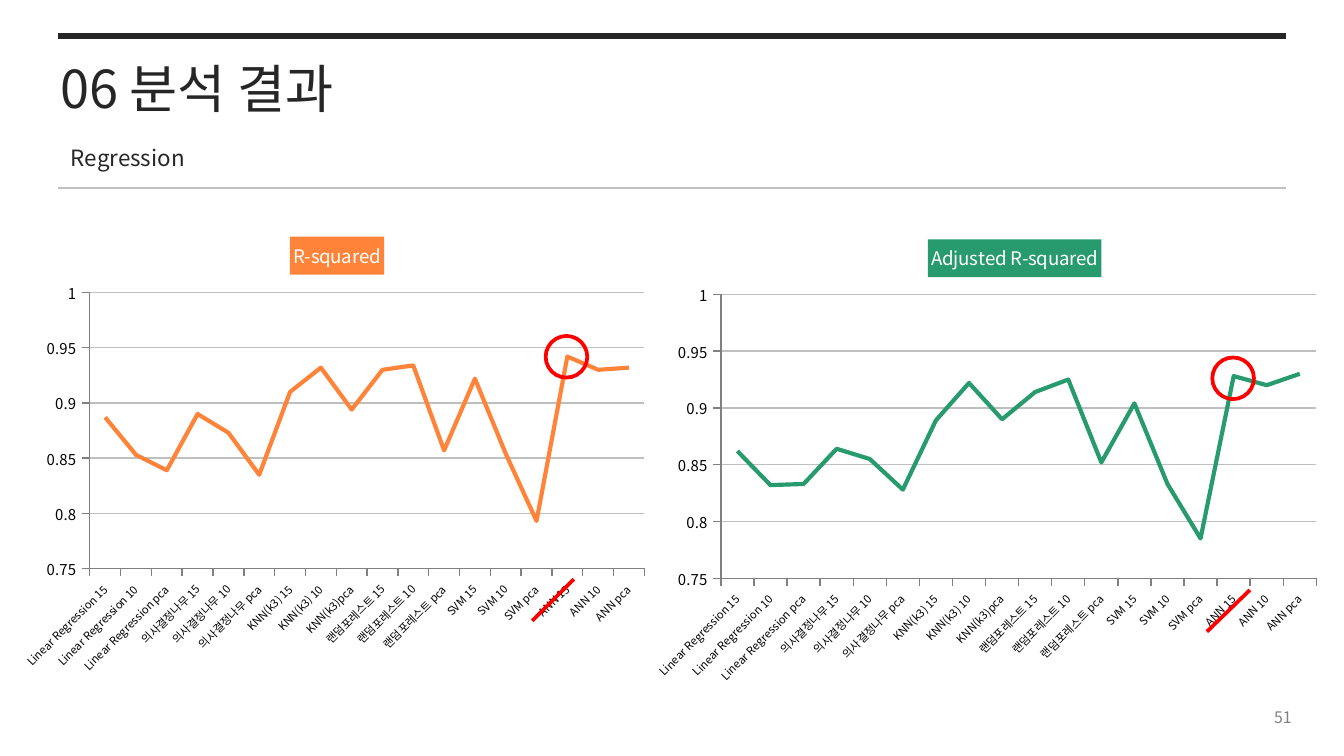
from lxml import etree
from pptx import Presentation
from pptx.chart.data import CategoryChartData
from pptx.dml.color import RGBColor
from pptx.enum.chart import XL_CHART_TYPE, XL_MARKER_STYLE, XL_TICK_MARK
from pptx.enum.shapes import MSO_CONNECTOR, MSO_SHAPE
from pptx.enum.text import MSO_ANCHOR, PP_ALIGN
from pptx.oxml import parse_xml
from pptx.oxml.ns import nsdecls, qn
from pptx.util import Inches, Pt

LINE = XL_CHART_TYPE.LINE
NO_MARKER = XL_MARKER_STYLE.NONE
TICK_OUT = XL_TICK_MARK.OUTSIDE
TICK_NONE = XL_TICK_MARK.NONE
STRAIGHT = MSO_CONNECTOR.STRAIGHT
OVAL = MSO_SHAPE.OVAL
TOP, MIDDLE = MSO_ANCHOR.TOP, MSO_ANCHOR.MIDDLE
LEFT, RIGHT = PP_ALIGN.LEFT, PP_ALIGN.RIGHT

FONT = "Noto Sans CJK KR"
DARK, GREY, LIGHT, RED = "262626", "808080", "BFBFBF", "FF0000"

# text, (left, top, width, height), size, colour, alignment, anchor, line spacing
TEXTS = [
    ("06 분석 결과", (0.35, 0.37, 7.56, 0.57), 28, DARK, LEFT, TOP, None),
    ("Regression", (0.43, 1, 7.56, 0.31), 12, DARK, LEFT, TOP, 16),
    ("51", (7.6, 5.23, 2.11, 0.21), 8.5, GREY, RIGHT, MIDDLE, None),
]

CATEGORIES = [
    "Linear Regression 15", "Linear Regression 10", "Linear Regression pca",
    "의사결정나무 15", "의사결정나무 10", "의사결정나무 pca",
    "KNN(k3) 15", "KNN(k3) 10", "KNN(k3)pca",
    "랜덤포레스트 15", "랜덤포레스트 10", "랜덤포레스트 pca",
    "SVM 15", "SVM 10", "SVM pca",
    "ANN 15", "ANN 10", "ANN pca",
]

# Title and plot places are fractions of the chart's size.
CHARTS = [
    {
        "name": "R-squared", "color": "FF843A", "box": (0.04, 1.08, 4.76, 5.2),
        "title": {"x": 0.445, "y": 0.131},
        "plot": {"x": 0.132, "y": 0.211, "w": 0.868, "h": 0.395},
        "values": [0.887, 0.853, 0.839, 0.89, 0.873, 0.835, 0.91, 0.932, 0.894,
                   0.93, 0.934, 0.857, 0.922, 0.854, 0.793, 0.942, 0.93, 0.932],
    },
    {
        "name": "Adjusted R-squared", "color": "289B6E", "box": (4.76, 1, 5.04, 4.88),
        "title": {"x": 0.426, "y": 0.16},
        "plot": {"x": 0.12, "y": 0.244, "w": 0.88, "h": 0.433},
        "values": [0.862, 0.832, 0.833, 0.864, 0.855, 0.828, 0.889, 0.922, 0.89,
                   0.914, 0.925, 0.852, 0.904, 0.833, 0.785, 0.928, 0.92, 0.93],
    },
]

# x1, y1, x2, y2, colour, width
RULES = [(0.43, 0.27, 9.57, 0.27, DARK, 3), (0.43, 1.4, 9.57, 1.4, LIGHT, 0.75)]
STRIKES = [(3.96, 4.62, 4.27, 4.31, RED, 2), (8.98, 4.7, 9.3, 4.39, RED, 2)]
CIRCLES = [(4.06, 2.5), (9.02, 2.66)]
CIRCLE_SIZE = 0.31


def rgb(color):
    return RGBColor.from_string(color)


def style_line(line, color, width):
    line.color.rgb = rgb(color)
    line.width = Pt(width)


def style_font(font, size, color):
    font.name = FONT
    font.size = Pt(size)
    font.color.rgb = rgb(color)


def add_text(slide, text, box, size, color, alignment, anchor, spacing):
    frame = slide.shapes.add_textbox(*map(Inches, box)).text_frame
    frame.word_wrap = True
    frame.vertical_anchor = anchor
    paragraph = frame.paragraphs[0]
    paragraph.text = text
    paragraph.alignment = alignment
    if spacing:
        paragraph.line_spacing = Pt(spacing)
    style_font(paragraph.font, size, color)


def add_line(slide, x1, y1, x2, y2, color, width):
    connector = slide.shapes.add_connector(STRAIGHT, *map(Inches, (x1, y1, x2, y2)))
    style_line(connector.line, color, width)
    etree.SubElement(connector.element.spPr, qn("a:effectLst"))


def place(element, index, fractions, target=""):
    """Give a chart title or plot area a manual layout."""
    for old in element.findall(qn("c:layout")):
        element.remove(old)
    modes = "".join(f'<c:{key}Mode val="edge"/>' for key in "xy")
    sizes = "".join(f'<c:{key} val="{value}"/>' for key, value in fractions.items())
    element.insert(index, parse_xml(
        f'<c:layout {nsdecls("c")}><c:manualLayout>{target}{modes}{sizes}'
        "</c:manualLayout></c:layout>"))


def style_axes(chart):
    value_axis, category_axis = chart.value_axis, chart.category_axis
    value_axis.minimum_scale, value_axis.maximum_scale = 0.75, 1
    value_axis.major_unit = 0.05
    value_axis.has_major_gridlines = True
    style_line(value_axis.major_gridlines.format.line, LIGHT, 0.75)
    value_axis.tick_labels.number_format = "General"
    value_axis.tick_labels.number_format_is_linked = False
    for axis, size in ((value_axis, 8), (category_axis, 6)):
        axis.major_tick_mark, axis.minor_tick_mark = TICK_OUT, TICK_NONE
        style_line(axis.format.line, GREY, 0.75)
        style_font(axis.tick_labels.font, size, "000000")
    label_body = chart.element.find(f".//{qn('c:catAx')}//{qn('a:bodyPr')}")
    label_body.set("rot", "-2700000")
    label_body.set("vert", "horz")


def add_line_chart(slide, content):
    data = CategoryChartData()
    data.categories = CATEGORIES
    data.add_series(content["name"], content["values"])
    chart = slide.shapes.add_chart(LINE, *map(Inches, content["box"]), data).chart
    chart.has_legend = False
    style_font(chart.font, 10, "000000")

    chart.has_title = True
    title = chart.chart_title
    title.text_frame.text = content["name"]
    title_font = title.text_frame.paragraphs[0].font
    style_font(title_font, 10, "FFFFFF")
    title_font.bold = False
    title.format.fill.solid()
    title.format.fill.fore_color.rgb = rgb(content["color"])
    place(chart.element.find(".//" + qn("c:title")), 1, content["title"])
    place(chart.element.find(".//" + qn("c:plotArea")), 0, content["plot"],
          '<c:layoutTarget val="inner"/>')

    style_axes(chart)
    plot = chart.plots[0]
    plot.vary_by_categories = False
    series = plot.series[0]
    series.smooth = False
    series.marker.style = NO_MARKER
    style_line(series.format.line, content["color"], 2.25)


def add_circle(slide, left, top):
    circle = slide.shapes.add_shape(
        OVAL, *map(Inches, (left, top, CIRCLE_SIZE, CIRCLE_SIZE)))
    circle.shadow.inherit = False
    circle.fill.background()
    style_line(circle.line, RED, 2)


def main():
    presentation = Presentation()
    presentation.slide_width = Inches(10)
    presentation.slide_height = presentation.slide_width * 9 // 16
    slide = presentation.slides.add_slide(presentation.slide_layouts[6])
    for content in CHARTS:
        add_line_chart(slide, content)
    for text in TEXTS:
        add_text(slide, *text)
    for line in RULES + STRIKES:
        add_line(slide, *line)
    for position in CIRCLES:
        add_circle(slide, *position)
    presentation.save("out.pptx")


if __name__ == "__main__":
    main()
